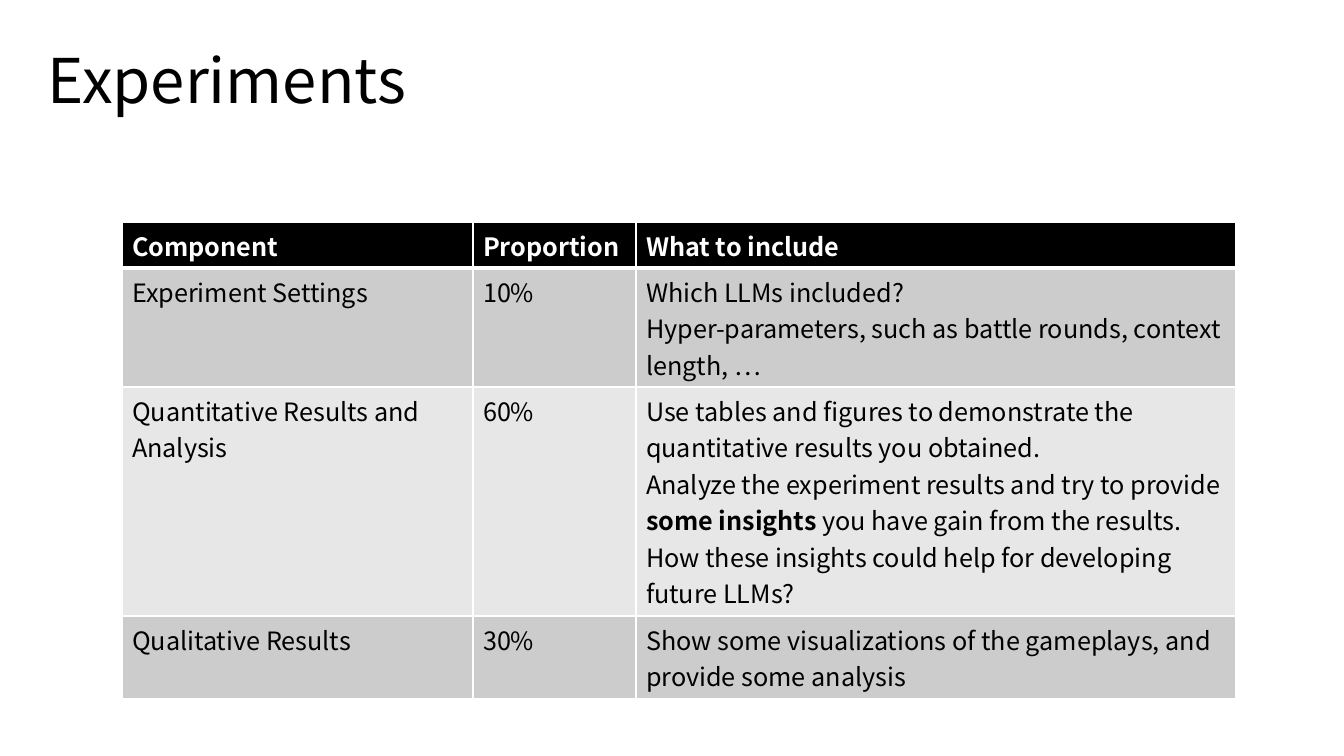
from lxml import etree
from pptx import Presentation
from pptx.dml.color import RGBColor
from pptx.enum.text import MSO_ANCHOR
from pptx.oxml.ns import qn
from pptx.util import Emu, Pt

PX = 914400 / 100.8
FONT = "Noto Sans CJK SC"
BLACK = RGBColor(0x00, 0x00, 0x00)
WHITE = RGBColor(0xFF, 0xFF, 0xFF)
DARK_BAND = RGBColor(0xCC, 0xCC, 0xCC)
LIGHT_BAND = RGBColor(0xE7, 0xE7, 0xE7)
MIDDLE = MSO_ANCHOR.MIDDLE

COL_WIDTHS = [351, 163, 600]
ROW_HEIGHTS = [46, 119, 229, 83]
# Lines are paragraphs; ** encloses bold words
ROWS = [
    ["Component", "Proportion", "What to include"],
    ["Experiment Settings", "10%",
     "Which LLMs included?\n"
     "Hyper-parameters, such as battle rounds, context length, …"],
    ["Quantitative Results and Analysis", "60%",
     "Use tables and figures to demonstrate the quantitative results you obtained.\n"
     "Analyze the experiment results and try to provide **some insights** you have "
     "gain from the results. How these insights could help for developing future LLMs?"],
    ["Qualitative Results", "30%",
     "Show some visualizations of the gameplays, and provide some analysis"],
]


def px(n):
    return Emu(round(n * PX))


def style_run(r, size, color, bold=False):
    r.font.name = FONT
    r.font.size = Pt(size)
    r.font.bold = bold
    r.font.color.rgb = color


def set_borders(cell, top, bottom):
    tc_pr = cell._tc.get_or_add_tcPr()
    widths = {"lnL": 1, "lnR": 1, "lnT": top, "lnB": bottom}
    for i, (tag, width) in enumerate(widths.items()):
        ln = etree.Element(qn("a:" + tag), w=str(Pt(width)))
        fill = etree.SubElement(ln, qn("a:solidFill"))
        etree.SubElement(fill, qn("a:srgbClr"), val=str(WHITE))
        tc_pr.insert(i, ln)


def fill_cell(cell, text, row):
    header = row == 0
    cell.fill.solid()
    cell.fill.fore_color.rgb = BLACK if header else DARK_BAND if row % 2 else LIGHT_BAND
    set_borders(cell, top=3 if row == 1 else 1, bottom=3 if header else 1)
    tf = cell.text_frame
    for i, line in enumerate(text.split("\n")):
        p = tf.add_paragraph() if i else tf.paragraphs[0]
        for j, part in enumerate(line.split("**")):
            r = p.add_run()
            r.text = part
            style_run(r, 18, WHITE if header else BLACK, header or j % 2 == 1)


def add_title(s, x, y, w, h):
    tf = s.shapes.add_textbox(px(x), px(y), px(w), px(h)).text_frame
    tf.word_wrap = True
    tf.vertical_anchor = MIDDLE
    p = tf.paragraphs[0]
    p.text = "Experiments"
    p.line_spacing = 0.9
    style_run(p.runs[0], 44, BLACK)


def add_component_table(s, x, y):
    table = s.shapes.add_table(len(ROWS), len(COL_WIDTHS), px(x), px(y),
                               px(sum(COL_WIDTHS)), px(sum(ROW_HEIGHTS))).table
    for column, width in zip(table.columns, COL_WIDTHS):
        column.width = px(width)
    for i, (height, texts) in enumerate(zip(ROW_HEIGHTS, ROWS)):
        table.rows[i].height = px(height)
        for j, text in enumerate(texts):
            fill_cell(table.cell(i, j), text, i)


def main():
    prs = Presentation()
    prs.slide_width, prs.slide_height = px(1344), px(756)
    s = prs.slides.add_slide(prs.slide_layouts[6])
    add_title(s, 38, 25, 1008, 117)
    add_component_table(s, 122, 222)
    prs.save("out.pptx")


if __name__ == "__main__":
    main()
